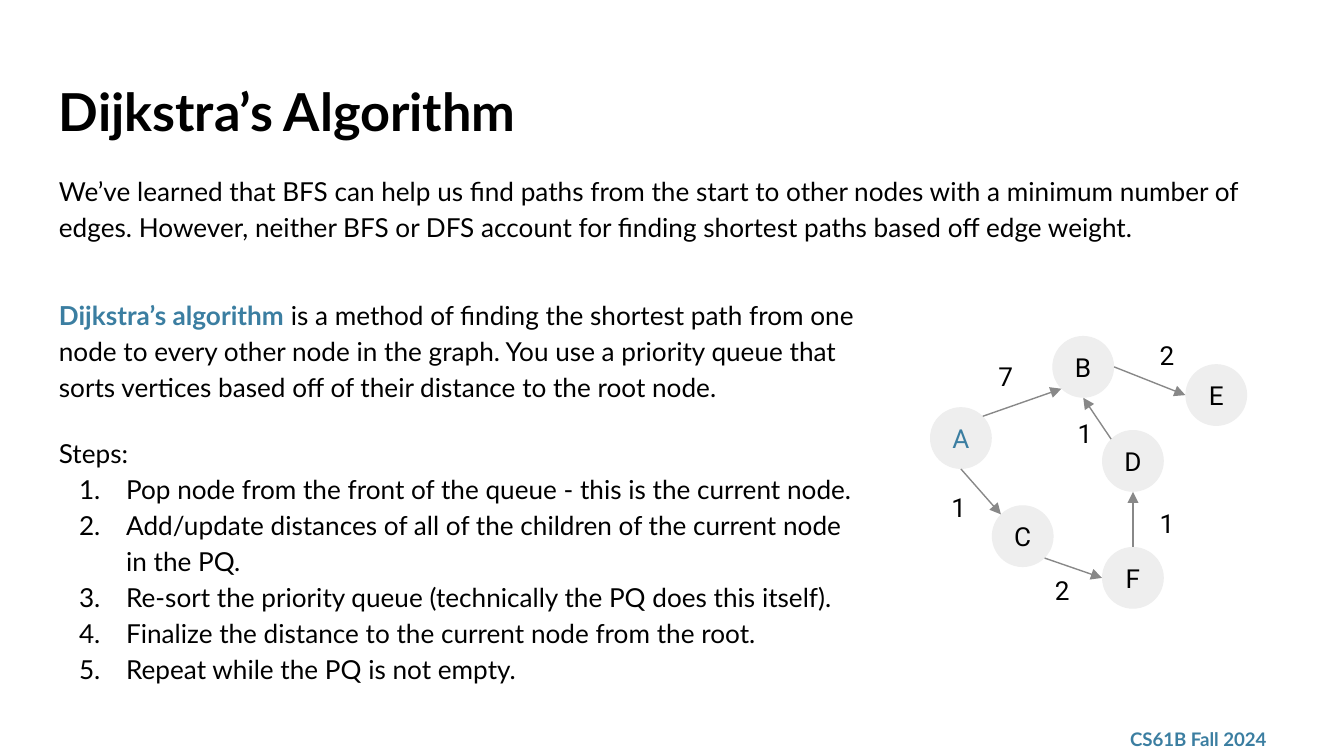
"""Build a slide that explains Dijkstra's algorithm beside a small weighted graph."""
import math

import lxml.etree
import pptx
import pptx.dml.color
import pptx.enum.shapes
import pptx.enum.text
import pptx.oxml.ns
import pptx.util

Inches = pptx.util.Inches
Pt = pptx.util.Pt
ALIGN = pptx.enum.text.PP_ALIGN
ANCHOR = pptx.enum.text.MSO_ANCHOR
qn = pptx.oxml.ns.qn

COLORS = {"ink": "000000", "blue": "3B7EA1", "node": "EEEEEE", "edge": "888888"}
WIDTH = Inches(10)
HEIGHT = WIDTH * 9 // 16
SIZE = 0.46
TOP, TOP_LEFT, LEFT, LOW_LEFT, LOW, LOW_RIGHT, RIGHT, TOP_RIGHT = range(8)

TITLE = "Dijkstra’s Algorithm"
FOOTER = "CS61B Fall 2024"
INTRO = (
    "We’ve learned that BFS can help us find paths from the start to other nodes "
    "with a minimum number of edges. However, neither BFS or DFS account for "
    "finding shortest paths based off edge weight."
)
TERM = "Dijkstra’s algorithm"
MEANING = (
    " is a method of finding the shortest path from one node to every other node "
    "in the graph. You use a priority queue that sorts vertices based off of their "
    "distance to the root node."
)
STEPS = [
    "Pop node from the front of the queue - this is the current node.",
    "Add/update distances of all of the children of the current node in the PQ.",
    "Re-sort the priority queue (technically the PQ does this itself).",
    "Finalize the distance to the current node from the root.",
    "Repeat while the PQ is not empty.",
]
NODES = {
    "A": (6.92, 3.03),
    "B": (7.83, 2.5),
    "C": (7.38, 3.76),
    "D": (8.2, 3.2),
    "E": (8.82, 2.71),
    "F": (8.2, 4.07),
}
EDGES = [
    ("A", TOP_RIGHT, "B", LOW_LEFT, "7", (7.33, 2.66)),
    ("A", LOW, "C", TOP_LEFT, "1", (6.98, 3.63)),
    ("C", LOW_RIGHT, "F", LEFT, "2", (7.75, 4.25)),
    ("F", TOP, "D", LOW, "1", (8.53, 3.75)),
    ("D", TOP_LEFT, "B", LOW, "1", (7.92, 3.08)),
    ("B", RIGHT, "E", LEFT, "2", (8.53, 2.5)),
]


def rgb(name):
    return pptx.dml.color.RGBColor.from_string(COLORS[name])


def add_run(para, text, size=14, font="Lato", color="ink", bold=False):
    run = para.add_run()
    run.text = text
    run.font.size = Pt(size)
    run.font.name = font
    run.font.bold = bold
    run.font.color.rgb = rgb(color)


def set_frame(shape, anchor):
    frame = shape.text_frame
    frame.word_wrap = True
    frame.vertical_anchor = anchor
    frame.margin_left = frame.margin_right = Inches(0.1)
    frame.margin_top = frame.margin_bottom = Inches(0.1)
    return frame


def add_box(slide, left, top, width, height, anchor=ANCHOR.TOP):
    box = slide.shapes.add_textbox(*map(Inches, (left, top, width, height)))
    return set_frame(box, anchor)


def add_step(frame, text):
    para = frame.add_paragraph()
    para.line_spacing = 1.15
    add_run(para, text)
    props = para._p.get_or_add_pPr()
    props.set("marL", str(Inches(0.5)))
    props.set("indent", str(Inches(-0.35)))
    lxml.etree.SubElement(props, qn("a:buFont"), typeface="Lato")
    lxml.etree.SubElement(props, qn("a:buAutoNum"), type="arabicPeriod")


def add_body(slide):
    frame = add_box(slide, 0.34, 2.09, 6.2, 3.16)
    para = frame.paragraphs[0]
    para.line_spacing = 1.15
    add_run(para, TERM, color="blue", bold=True)
    add_run(para, MEANING)
    head = frame.add_paragraph()
    head.line_spacing = 1.15
    head.space_before = Pt(16)
    add_run(head, "Steps:")
    for step in STEPS:
        add_step(frame, step)


def add_node(slide, name, left, top):
    oval = pptx.enum.shapes.MSO_SHAPE.OVAL
    node = slide.shapes.add_shape(oval, *map(Inches, (left, top, SIZE, SIZE)))
    node.shadow.inherit = False
    node.fill.solid()
    node.fill.fore_color.rgb = rgb("node")
    node.line.fill.background()
    para = set_frame(node, ANCHOR.MIDDLE).paragraphs[0]
    para.alignment = ALIGN.CENTER
    add_run(para, name, font="Roboto", color="blue" if name == "A" else "ink")


def rim(name, site):
    left, top = NODES[name]
    turn = math.radians(45 * site)
    half = SIZE / 2
    return (
        Inches(left + half - half * math.sin(turn)),
        Inches(top + half - half * math.cos(turn)),
    )


def add_edge(slide, start, out, end, into):
    kind = pptx.enum.shapes.MSO_CONNECTOR.STRAIGHT
    edge = slide.shapes.add_connector(kind, *rim(start, out), *rim(end, into))
    edge.line.width = Pt(0.75)
    edge.line.color.rgb = rgb("edge")
    line = edge.line._get_or_add_ln()
    lxml.etree.SubElement(line, qn("a:tailEnd"), type="triangle")
    lxml.etree.SubElement(edge._element.spPr, qn("a:effectLst"))


def add_cost(slide, cost, spot):
    para = add_box(slide, *spot, 0.24, 0.28, ANCHOR.MIDDLE).paragraphs[0]
    para.alignment = ALIGN.CENTER
    add_run(para, cost, font="Roboto")


def main():
    deck = pptx.Presentation()
    deck.slide_width, deck.slide_height = WIDTH, HEIGHT
    slide = deck.slides.add_slide(deck.slide_layouts[6])

    foot = add_box(slide, 8.31, 5.37, 1.35, 0.26, ANCHOR.MIDDLE)
    add_run(foot.paragraphs[0], FOOTER, size=10, color="blue", bold=True)
    title = add_box(slide, 0.34, 0.49, 9.32, 0.63)
    add_run(title.paragraphs[0], TITLE, size=28, bold=True)
    intro = add_box(slide, 0.34, 1.17, 9.26, 0.71).paragraphs[0]
    intro.line_spacing = 1.15
    intro.space_after = Pt(16)
    add_run(intro, INTRO)
    add_body(slide)

    for name, spot in NODES.items():
        add_node(slide, name, *spot)
    for start, out, end, into, cost, spot in EDGES:
        add_edge(slide, start, out, end, into)
        add_cost(slide, cost, spot)

    deck.save("out.pptx")


if __name__ == "__main__":
    main()
